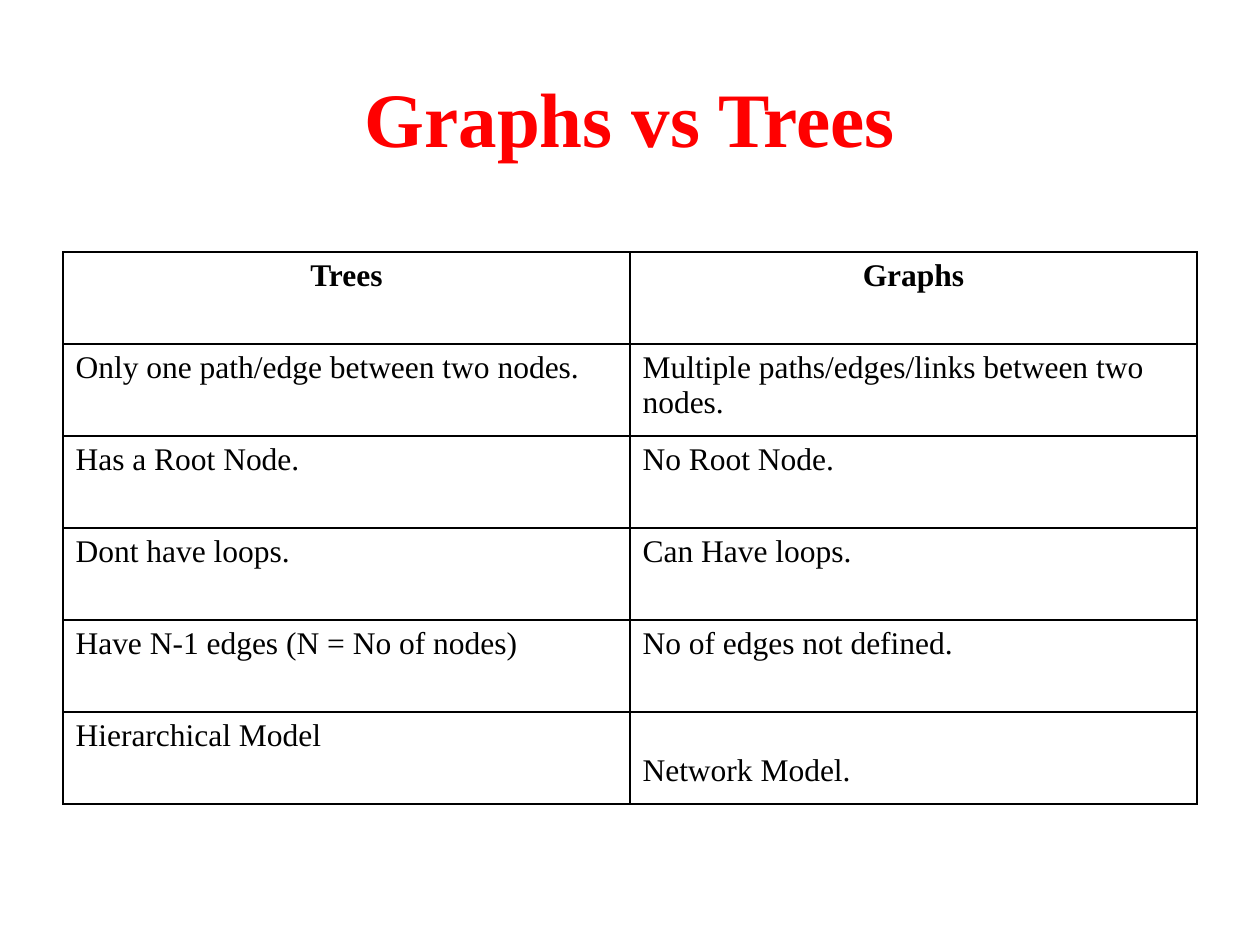
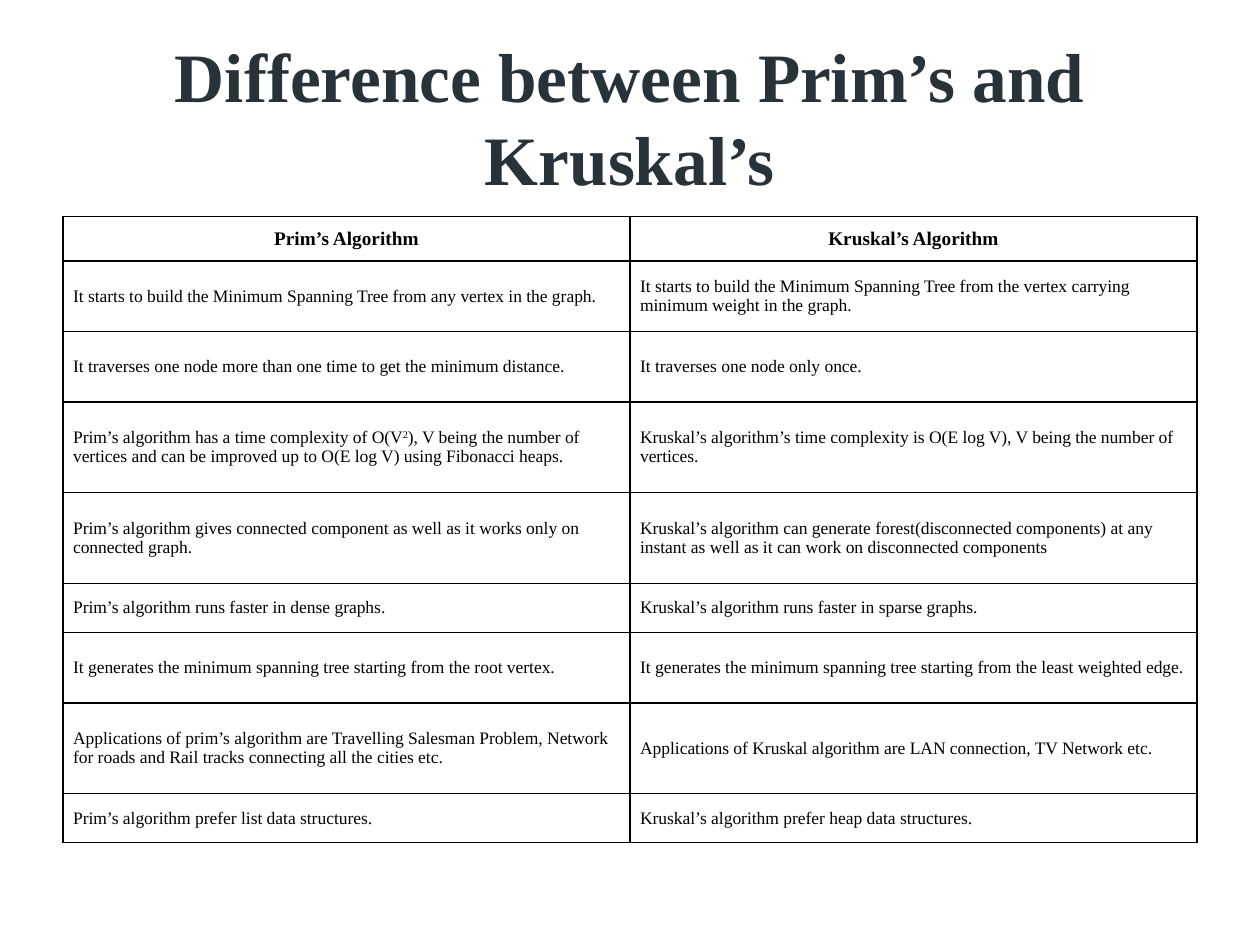
from lxml import etree
from pptx import Presentation
from pptx.dml.color import RGBColor
from pptx.enum.text import MSO_ANCHOR, MSO_AUTO_SIZE, PP_ALIGN
from pptx.oxml.ns import qn
from pptx.util import Inches, Pt

CENTER, LEFT = PP_ALIGN.CENTER, PP_ALIGN.LEFT
MIDDLE, TOP = MSO_ANCHOR.MIDDLE, MSO_ANCHOR.TOP
NO_FIT = MSO_AUTO_SIZE.NONE
TITLE_ONLY = 5

BLACK = RGBColor(0x00, 0x00, 0x00)
RED = RGBColor(0xFF, 0x00, 0x00)
SLATE = RGBColor(0x27, 0x32, 0x39)
FONT = "Times New Roman"
SIDE, CONTENT_WIDTH = 0.5, 9
SUPERSCRIPT = "30000"

GRAPHS_VS_TREES = [
    ("Trees", "Graphs"),
    ("Only one path/edge between two nodes.",
     "Multiple paths/edges/links between two nodes."),
    ("Has a Root Node.", "No Root Node."),
    ("Dont have loops.", "Can Have loops."),
    ("Have N-1 edges (N = No of nodes)", "No of edges not defined."),
    ("Hierarchical Model", "Network Model."),
]

PRIM_VS_KRUSKAL = [
    ("Prim’s Algorithm", "Kruskal’s Algorithm"),
    ("It starts to build the Minimum Spanning Tree from any vertex in the graph.",
     "It starts to build the Minimum Spanning Tree from the vertex carrying "
     "minimum weight in the graph."),
    ("It traverses one node more than one time to get the minimum distance.",
     "It traverses one node only once."),
    ("Prim’s algorithm has a time complexity of O(V^2^), V being the number of "
     "vertices and can be improved up to O(E log V) using Fibonacci heaps.",
     "Kruskal’s algorithm’s time complexity is O(E log V), V being the number "
     "of vertices."),
    ("Prim’s algorithm gives connected component as well as it works only on "
     "connected graph.",
     "Kruskal’s algorithm can generate forest(disconnected components) at any "
     "instant as well as it can work on disconnected components"),
    ("Prim’s algorithm runs faster in dense graphs.",
     "Kruskal’s algorithm runs faster in sparse graphs."),
    ("It generates the minimum spanning tree starting from the root vertex.",
     "It generates the minimum spanning tree starting from the least weighted edge."),
    ("Applications of prim’s algorithm are Travelling Salesman Problem, Network "
     "for roads and Rail tracks connecting all the cities etc.",
     "Applications of Kruskal algorithm are LAN connection, TV Network etc."),
    ("Prim’s algorithm prefer list data structures.",
     "Kruskal’s algorithm prefer heap data structures."),
]


class ComparisonDeck:
    def __init__(self):
        self.deck = Presentation()
        self.deck.slide_width, self.deck.slide_height = Inches(10), Inches(7.5)
        self.page = None

    def add_page(self, title, size, color):
        self.page = self.deck.slides.add_slide(self.deck.slide_layouts[TITLE_ONLY])
        box = self.page.shapes.title
        box.left, box.top = Inches(SIDE), Inches(0.3)
        box.width, box.height = Inches(CONTENT_WIDTH), Inches(1.25)
        frame = box.text_frame
        frame.word_wrap, frame.auto_size = True, NO_FIT
        frame.vertical_anchor = MIDDLE
        self.add_text(frame.paragraphs[0], title, size, color, True, CENTER)

    def add_text(self, para, text, size, color, bold, align):
        para.alignment = align
        for index, part in enumerate(text.split("^")):
            span = para.add_run()
            span.text = part
            font = span.font
            font.name, font.size, font.bold = FONT, Pt(size), bold
            font.color.rgb = color
            if index % 2:
                span._r.get_or_add_rPr().set("baseline", SUPERSCRIPT)

    def add_borders(self, cell):
        properties = cell._tc.get_or_add_tcPr()
        for side in ("a:lnL", "a:lnR", "a:lnT", "a:lnB"):
            line = etree.SubElement(properties, qn(side), w=str(Pt(1)))
            fill = etree.SubElement(line, qn("a:solidFill"))
            etree.SubElement(fill, qn("a:srgbClr"), val=str(BLACK))

    def add_table(self, rows, top, heights, sizes, anchor, side_inset, insets):
        columns = len(rows[0])
        table = self.page.shapes.add_table(
            len(rows), columns, Inches(SIDE), Inches(top),
            Inches(CONTENT_WIDTH), Inches(sum(heights))).table
        table.first_row = table.horz_banding = False
        for column in table.columns:
            column.width = Inches(CONTENT_WIDTH / columns)
        for index, (texts, height) in enumerate(zip(rows, heights)):
            table.rows[index].height = Inches(height)
            header = index == 0
            size, inset = (pair[0 if header else 1] for pair in (sizes, insets))
            for cell, text in zip(table.rows[index].cells, texts):
                cell.vertical_anchor = anchor
                cell.margin_left = cell.margin_right = Inches(side_inset)
                cell.margin_top = cell.margin_bottom = Inches(inset)
                self.add_borders(cell)
                cell.fill.background()
                self.add_text(cell.text_frame.paragraphs[0], text, size, BLACK,
                              header, CENTER if header else LEFT)
        return table


def main():
    show = ComparisonDeck()

    show.add_page("Graphs vs Trees", 44, RED)
    trees = show.add_table(GRAPHS_VS_TREES, 2, [0.73] * len(GRAPHS_VS_TREES),
                           (18, 18), TOP, 0.1, (0.05, 0.05))
    network_model = trees.cell(len(GRAPHS_VS_TREES) - 1, 1)
    network_model.margin_top = Inches(0.33)

    show.add_page("Difference between Prim’s and Kruskal’s", 39.6, SLATE)
    show.add_table(PRIM_VS_KRUSKAL, 1.72,
                   [0.35, 0.56, 0.56, 0.72, 0.72, 0.39, 0.56, 0.72, 0.39],
                   (11, 10), MIDDLE, 0.08, (0.08, 0.11))

    show.deck.save("out.pptx")


if __name__ == "__main__":
    main()
